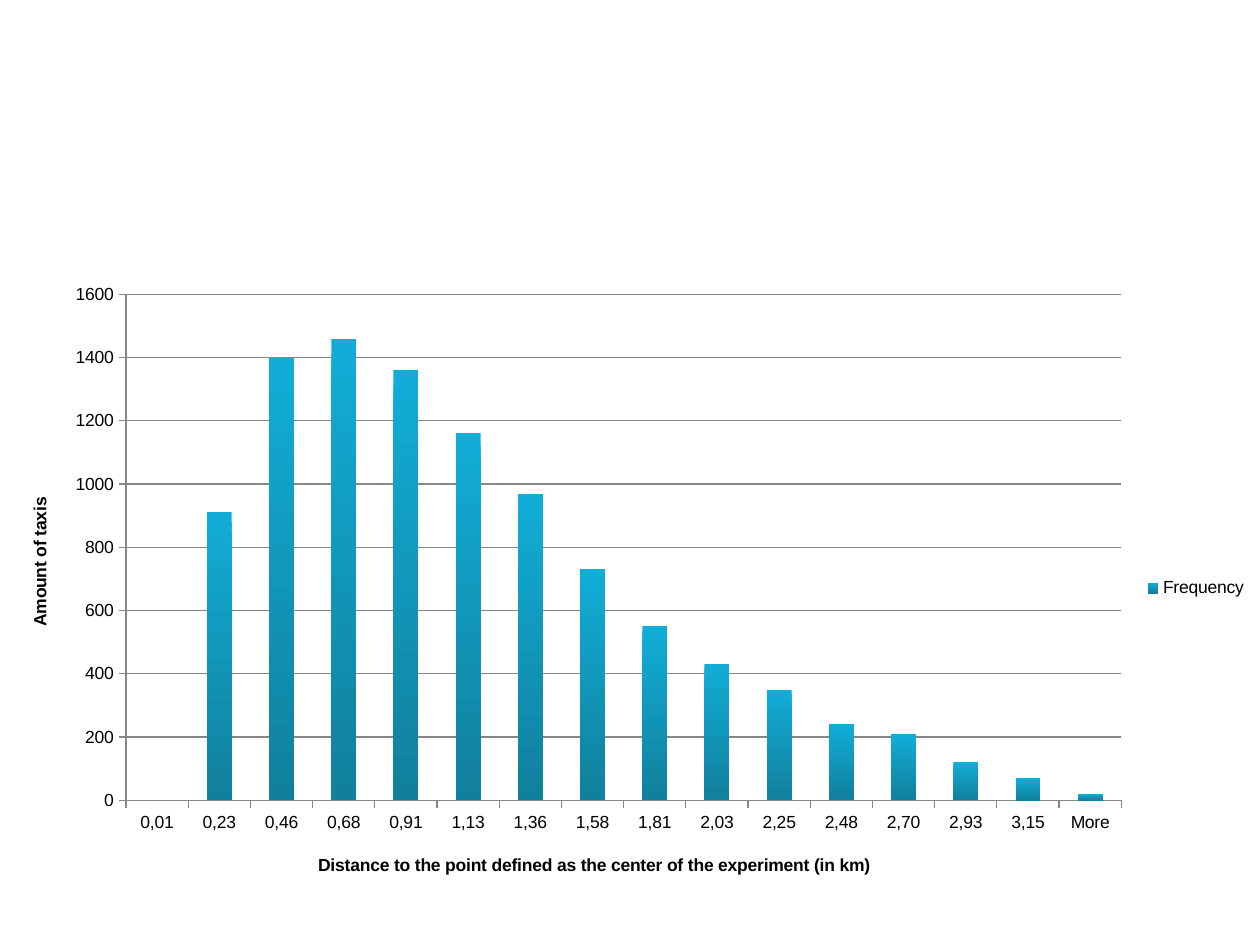
import pptx
import pptx.chart.data
import pptx.dml.color
import pptx.enum.chart
import pptx.oxml
import pptx.oxml.ns
import pptx.util

BLACK = pptx.dml.color.RGBColor(0x00, 0x00, 0x00)
GRAY = pptx.dml.color.RGBColor(0x86, 0x86, 0x86)
BAR_TOP = pptx.dml.color.RGBColor(0x11, 0xAD, 0xD7)
BAR_BOTTOM = pptx.dml.color.RGBColor(0x11, 0x80, 0x9C)

DISTANCES = ["0,01", "0,23", "0,46", "0,68", "0,91", "1,13", "1,36", "1,58",
             "1,81", "2,03", "2,25", "2,48", "2,70", "2,93", "3,15", "More"]
TAXI_COUNTS = [0, 910, 1400, 1460, 1360, 1160, 970, 730,
               550, 430, 350, 240, 210, 120, 70, 20]


def set_layout(element, index, target=None, **fractions):
    for old_layout in element.findall(pptx.oxml.ns.qn("c:layout")):
        element.remove(old_layout)
    parts = f'<c:layoutTarget val="{target}"/>' if target else ""
    parts += "".join(f'<c:{side}Mode val="edge"/>' for side in "xy")
    parts += "".join(f'<c:{name} val="{value}"/>' for name, value in fractions.items())
    element.insert(index, pptx.oxml.parse_xml(
        f'<c:layout {pptx.oxml.ns.nsdecls("c")}>'
        f"<c:manualLayout>{parts}</c:manualLayout></c:layout>"))


def format_font(font, bold=False):
    font.name = "Arial"
    font.size = pptx.util.Pt(10)
    font.bold = bold
    font.color.rgb = BLACK


def format_line(line):
    line.color.rgb = GRAY
    line.width = pptx.util.Pt(0.75)


def format_axis(axis, title, x, y):
    axis.major_tick_mark = pptx.enum.chart.XL_TICK_MARK.OUTSIDE
    axis.minor_tick_mark = pptx.enum.chart.XL_TICK_MARK.NONE
    format_line(axis.format.line)
    format_font(axis.tick_labels.font)
    text_frame = axis.axis_title.text_frame
    text_frame.text = title
    format_font(text_frame.paragraphs[0].runs[0].font, bold=True)
    set_layout(axis.axis_title._element, 1, x=x, y=y)


def add_histogram(slide, left, top, width, height):
    data = pptx.chart.data.CategoryChartData()
    data.categories = DISTANCES
    data.add_series("Frequency", TAXI_COUNTS)
    chart = slide.shapes.add_chart(
        pptx.enum.chart.XL_CHART_TYPE.COLUMN_CLUSTERED,
        left, top, width, height, data).chart
    format_font(chart.font)
    chart.has_title = False
    chart.has_legend = True
    chart.legend.position = pptx.enum.chart.XL_LEGEND_POSITION.RIGHT
    chart.legend.include_in_layout = False
    format_font(chart.legend.font)

    plot = chart.plots[0]
    plot.gap_width = 150
    plot.vary_by_categories = False
    fill = plot.series[0].format.fill
    fill.gradient()
    fill.gradient_angle = 270
    for stop, color in zip(fill.gradient_stops, (BAR_TOP, BAR_BOTTOM)):
        stop.color.rgb = color

    format_axis(chart.category_axis,
                "Distance to the point defined as the center of the experiment (in km)",
                0.25, 0.92)
    format_axis(chart.value_axis, "Amount of taxis", 0.02, 0.35)
    chart.value_axis.minimum_scale = 0
    chart.value_axis.maximum_scale = 1600
    chart.value_axis.major_unit = 200
    chart.value_axis.has_major_gridlines = True
    format_line(chart.value_axis.major_gridlines.format.line)
    plot_area = chart._chartSpace.chart.plotArea
    set_layout(plot_area, 0, "inner", x=0.1, y=0.03, w=0.79, h=0.81)


def main():
    presentation = pptx.Presentation()
    presentation.slide_width = pptx.util.Pt(720)
    presentation.slide_height = pptx.util.Pt(540)
    slide = presentation.slides.add_slide(presentation.slide_layouts[6])
    add_histogram(slide, pptx.util.Pt(0), pptx.util.Pt(157.5),
                  pptx.util.Pt(720), pptx.util.Pt(357))
    presentation.save("out.pptx")


if __name__ == "__main__":
    main()
